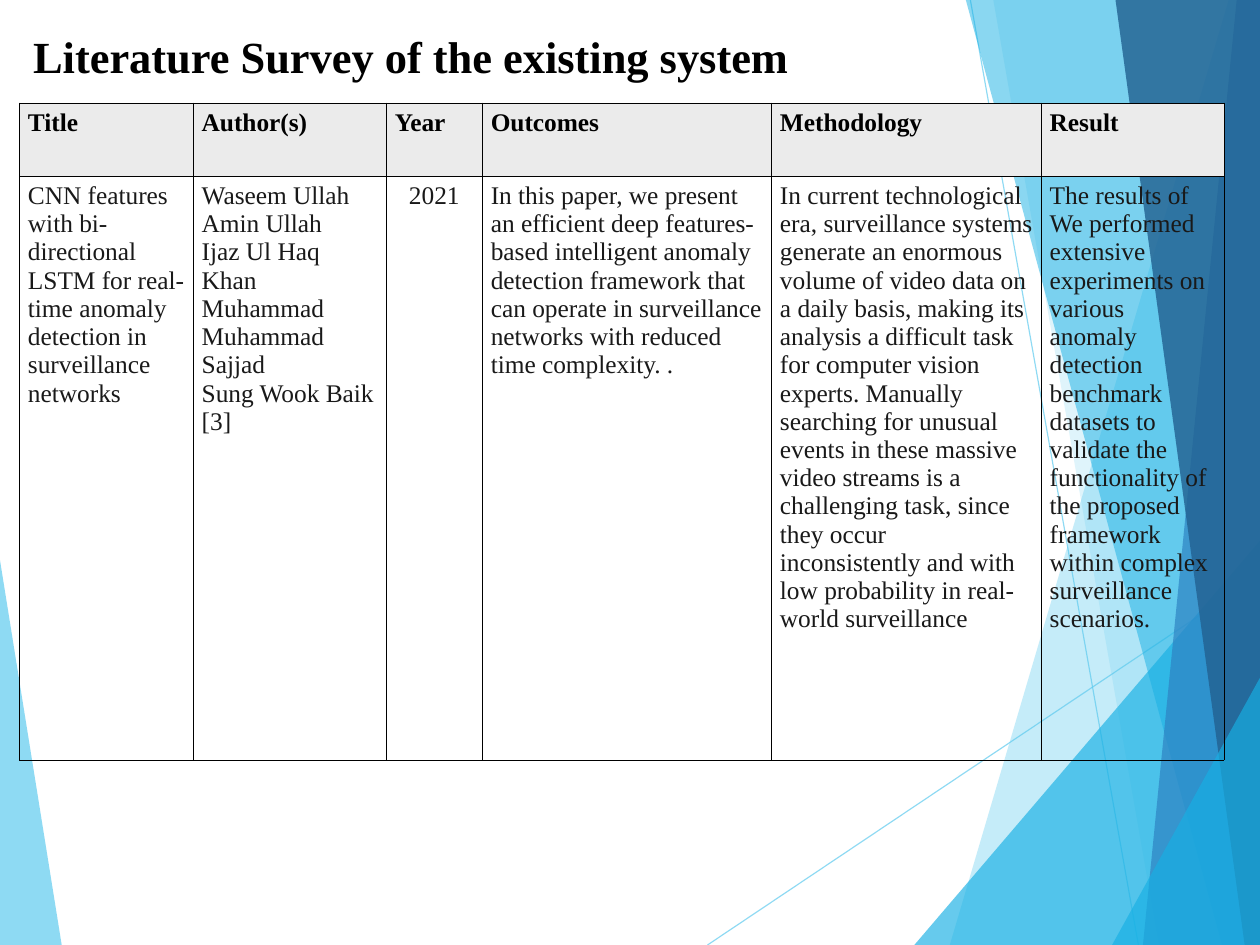
from lxml import etree
from pptx import Presentation, util as u
from pptx.dml.color import RGBColor
from pptx.enum import shapes, text
from pptx.oxml.ns import qn

SLIDE_WIDTH, SLIDE_HEIGHT = u.Cm(28), u.Cm(21)
WIDTH, HEIGHT = SLIDE_WIDTH.inches, SLIDE_HEIGHT.inches
FONT = "Times New Roman"
BLACK = RGBColor(0x00, 0x00, 0x00)
INK = RGBColor(0x19, 0x19, 0x19)
HEADER_GREY = RGBColor(0xEB, 0xEB, 0xEB)
SKY = RGBColor(0x5F, 0xCB, 0xEF)
CYAN = RGBColor(0x17, 0xB0, 0xE4)
BLUE = RGBColor(0x2E, 0x83, 0xC3)
NAVY = RGBColor(0x23, 0x62, 0x92)

TITLE = "Literature Survey of the existing system"
# heading, column width, alignment, paragraphs
COLUMNS = [
    ("Title", 1.52, text.PP_ALIGN.LEFT,
     ["CNN features with bi-directional LSTM for real-time anomaly detection "
      "in surveillance networks"]),
    ("Author(s)", 1.69, text.PP_ALIGN.LEFT,
     ["Waseem Ullah", "Amin Ullah", "Ijaz Ul Haq", "Khan Muhammad",
      "Muhammad Sajjad", "Sung Wook Baik", "[3]"]),
    ("Year", 0.84, text.PP_ALIGN.CENTER, ["2021"]),
    ("Outcomes", 2.53, text.PP_ALIGN.LEFT,
     ["In this paper, we present an efficient deep features-based intelligent "
      "anomaly detection framework that can operate in surveillance networks "
      "with reduced time complexity. ."]),
    ("Methodology", 2.36, text.PP_ALIGN.LEFT,
     ["In current technological era, surveillance systems generate an enormous "
      "volume of video data on a daily basis, making its analysis a difficult "
      "task for computer vision experts. Manually searching for unusual events "
      "in these massive video streams is a challenging task, since they occur "
      "inconsistently and with low probability in real-world surveillance"]),
    ("Result", 1.6, text.PP_ALIGN.LEFT,
     ["The results of We performed extensive experiments on various anomaly "
      "detection benchmark datasets to validate the functionality of the "
      "proposed framework within complex surveillance scenarios."]),
]
ROW_HEIGHTS = [0.64, 5.11]

# start x, start y, end x at the foot of the slide
RAYS = [(WIDTH, 5.03, 6.19), (8.49, 0, 9.96)]
# top x, top y, foot x, side edge x, colour, opacity in percent
FACETS = [
    (0, 4.9, 0.54, 0, SKY, 70),
    (10.75, 0, 8.31, WIDTH, SKY, 36),
    (8.69, 0, 10.14, WIDTH, SKY, 20),
    (WIDTH, 4.73, 8, WIDTH, CYAN, 66),
    (8.45, 0, 10.69, WIDTH, CYAN, 50),
    (10.82, 0, 10, WIDTH, BLUE, 70),
    (9.76, 0, 10.89, WIDTH, NAVY, 82),
    (WIDTH, 5.93, 9.73, WIDTH, CYAN, 66),
]


def set_opacity(element, percent):
    for colour in element.iter(qn("a:srgbClr")):
        etree.SubElement(colour, qn("a:alpha")).set("val", str(percent * 1000))


def add_facet(page, top_x, top_y, foot_x, edge_x, colour, opacity):
    corners = [(u.Inches(x), u.Inches(y)) for x, y in (
        (top_x, top_y), (foot_x, HEIGHT), (edge_x, HEIGHT), (edge_x, top_y))]
    builder = page.shapes.build_freeform(*corners[0])
    builder.add_line_segments(corners[1:])
    facet = builder.convert_to_shape()
    facet.shadow.inherit = False
    facet.fill.solid()
    facet.fill.fore_color.rgb = colour
    facet.line.fill.background()
    set_opacity(facet.element.spPr, opacity)


def add_ray(page, start_x, start_y, foot_x):
    ray = page.shapes.add_connector(
        shapes.MSO_CONNECTOR.STRAIGHT, u.Inches(start_x), u.Inches(start_y),
        u.Inches(foot_x), SLIDE_HEIGHT)
    ray.line.color.rgb = SKY
    ray.line.width = u.Pt(0.75)
    set_opacity(ray.element.spPr, 70)
    etree.SubElement(ray.element.spPr, qn("a:effectLst"))


def write(frame, lines, size, colour, bold, alignment=text.PP_ALIGN.LEFT):
    for index, line in enumerate(lines):
        para = frame.add_paragraph() if index else frame.paragraphs[0]
        para.alignment = alignment
        span = para.add_run()
        span.text = line
        span.font.name, span.font.size = FONT, u.Pt(size)
        span.font.bold, span.font.color.rgb = bold, colour


def style_cell(cell, fill_colour=None):
    if fill_colour is None:
        cell.fill.background()
    else:
        cell.fill.solid()
        cell.fill.fore_color.rgb = fill_colour
    cell.margin_left = cell.margin_right = u.Cm(0.19)
    cell.margin_top = cell.margin_bottom = u.Cm(0.13)
    properties = cell._tc.get_or_add_tcPr()
    for position, side in enumerate(("a:lnL", "a:lnR", "a:lnT", "a:lnB")):
        border = etree.Element(qn(side), w=str(u.Pt(0.45)))
        fill = etree.SubElement(border, qn("a:solidFill"))
        etree.SubElement(fill, qn("a:srgbClr"), val=str(BLACK))
        properties.insert(position, border)


def add_survey(page):
    widths = [column[1] for column in COLUMNS]
    table = page.shapes.add_table(
        len(ROW_HEIGHTS), len(COLUMNS), u.Inches(0.17), u.Inches(0.9),
        u.Inches(sum(widths)), u.Inches(sum(ROW_HEIGHTS))).table
    table.first_row = table.horz_banding = False
    for row, height in zip(table.rows, ROW_HEIGHTS):
        row.height = u.Inches(height)
    for index, (heading, width, alignment, lines) in enumerate(COLUMNS):
        table.columns[index].width = u.Inches(width)
        head, body = table.cell(0, index), table.cell(1, index)
        style_cell(head, HEADER_GREY)
        style_cell(body)
        write(head.text_frame, [heading], 16, BLACK, True)
        write(body.text_frame, lines, 16, INK, False, alignment)


def add_title(page):
    title = page.shapes.title
    title.left, title.top = u.Inches(0.19), u.Inches(0.19)
    title.width, title.height = u.Inches(7.65), u.Inches(0.49)
    frame = title.text_frame
    frame.auto_size = text.MSO_AUTO_SIZE.NONE
    frame.vertical_anchor = text.MSO_ANCHOR.TOP
    frame.margin_top, frame.margin_bottom = u.Inches(0.06), 0
    write(frame, [TITLE], 28, BLACK, True)


def main():
    deck = Presentation()
    deck.slide_width, deck.slide_height = SLIDE_WIDTH, SLIDE_HEIGHT
    page = deck.slides.add_slide(deck.slide_layouts[5])
    for ray in RAYS:
        add_ray(page, *ray)
    for facet in FACETS:
        add_facet(page, *facet)
    add_title(page)
    add_survey(page)
    deck.save("out.pptx")


if __name__ == "__main__":
    main()
